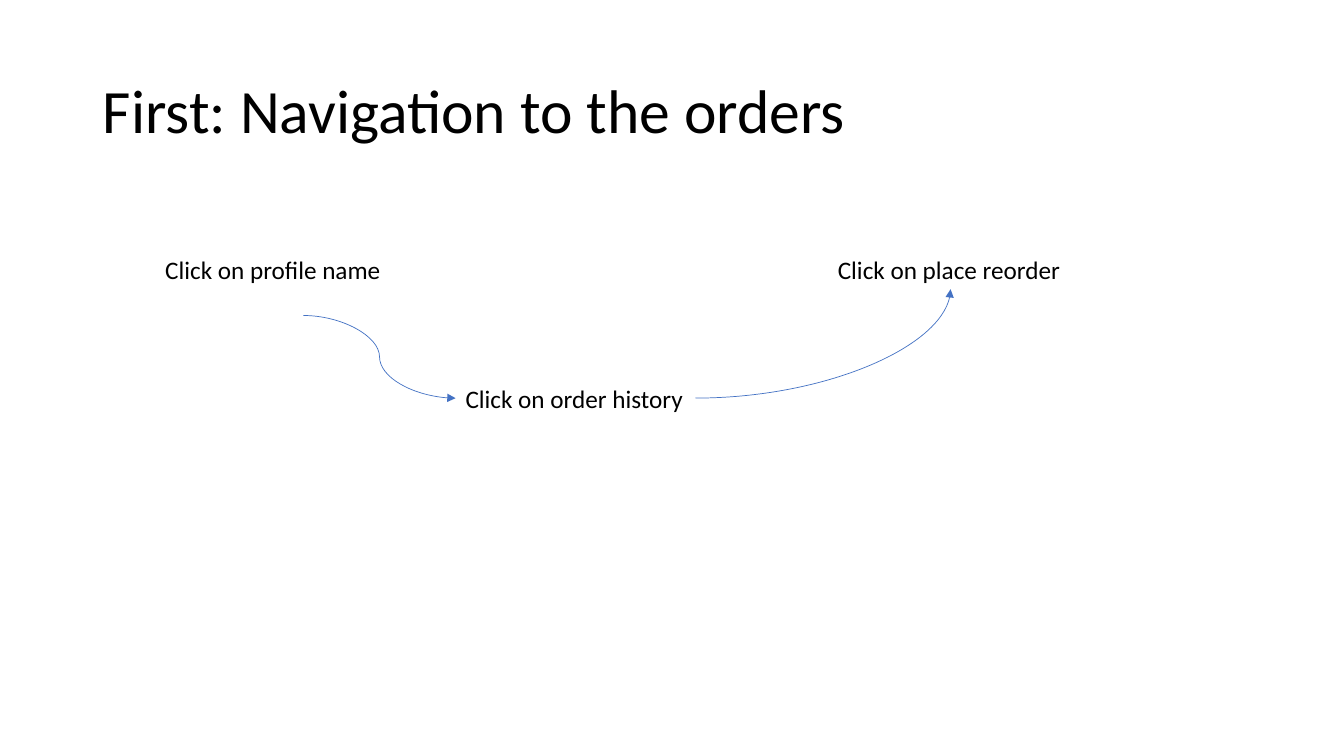
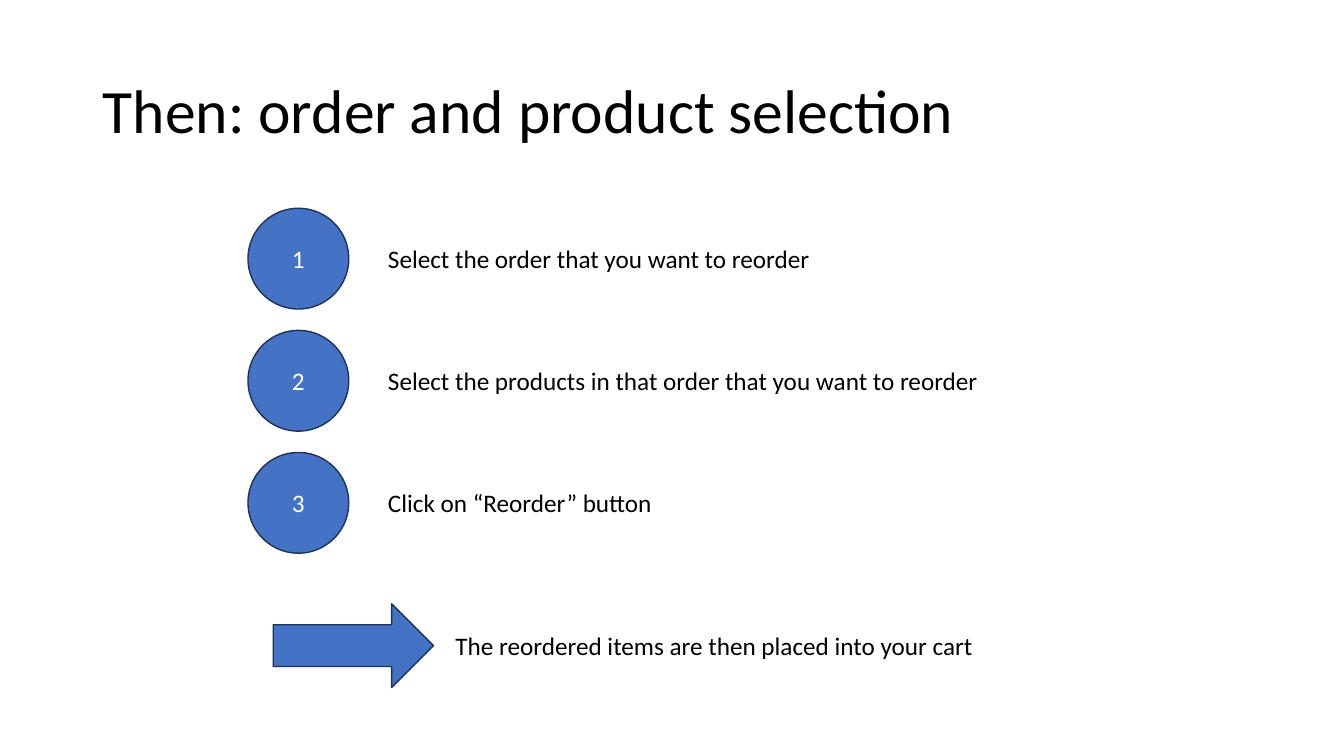
import lxml.etree
import pptx
import pptx.util
import pptx.dml.color
import pptx.enum.shapes
import pptx.enum.text
import pptx.oxml.ns

RGB = pptx.dml.color.RGBColor
BLUE = RGB(0x44, 0x72, 0xC4)
NAVY = RGB(0x1E, 0x32, 0x56)
BLACK = RGB(0, 0, 0)
WHITE = RGB(255, 255, 255)
FONT = "Calibri"
WIDE = pptx.util.Inches(13.33)
HIGH = pptx.util.Inches(7.5)
LINE = 5.33
KIND = pptx.enum.shapes.MSO_SHAPE
LINK = pptx.enum.shapes.MSO_CONNECTOR
ALIGN = pptx.enum.text.PP_ALIGN
ANCHOR = pptx.enum.text.MSO_ANCHOR
FIT = pptx.enum.text.MSO_AUTO_SIZE
qn = pptx.oxml.ns.qn


def write(frame, text, size=18, color=BLACK, align=ALIGN.LEFT,
          anchor=ANCHOR.TOP, wrap=True, fit=FIT.NONE, lead=1.0):
    """Put formatted text into a text frame."""
    frame.word_wrap = wrap
    frame.auto_size = fit
    frame.vertical_anchor = anchor
    par = frame.paragraphs[0]
    par.alignment = align
    par.line_spacing = lead
    run = par.add_run()
    run.text = text
    run.font.name = FONT
    run.font.size = pptx.util.Pt(size)
    run.font.color.rgb = color


def place(*spots):
    """Turn x, y pairs in percent of the slide into lengths."""
    return [int(spot * (HIGH if i % 2 else WIDE) / 100)
            for i, spot in enumerate(spots)]


class Deck:
    """Hold the style and the current slide."""

    def __init__(self):
        """Start an empty wide deck."""
        self.file = pptx.Presentation()
        self.file.slide_width = WIDE
        self.file.slide_height = HIGH

    def page(self, title):
        """Add a slide with its title."""
        layout = self.file.slide_layouts.get_by_name("Title Only")
        self.slide = self.file.slides.add_slide(layout)
        head = self.slide.shapes.title
        head.left, head.top, head.width, head.height = place(
            6.9, 5.33, 86.25, 19.33)
        write(head.text_frame, title, size=44, anchor=ANCHOR.MIDDLE, lead=0.9)

    def label(self, text, x, y, w):
        """Add one line of text."""
        box = self.slide.shapes.add_textbox(*place(x, y, w, LINE))
        write(box.text_frame, text, wrap=False, fit=FIT.SHAPE_TO_FIT_TEXT)

    def shape(self, kind, x, y, w, h, text=""):
        """Add a blue shape, with text if given."""
        item = self.slide.shapes.add_shape(kind, *place(x, y, w, h))
        item.shadow.inherit = False
        item.fill.solid()
        item.fill.fore_color.rgb = BLUE
        item.line.color.rgb = NAVY
        item.line.width = pptx.util.Pt(1)
        if text:
            write(item.text_frame, text, color=WHITE, align=ALIGN.CENTER,
                  anchor=ANCHOR.MIDDLE)

    def curve(self, x, y, to_x, to_y, preset="curvedConnector3"):
        """Add a curved arrow."""
        link = self.slide.shapes.add_connector(
            LINK.CURVE, *place(x, y, to_x, to_y))
        link.line.color.rgb = BLUE
        link.line.width = pptx.util.Pt(0.5)
        props = link.element.spPr
        props.find(qn("a:prstGeom")).set("prst", preset)
        lxml.etree.SubElement(props.find(qn("a:ln")), qn("a:tailEnd"),
                              type="triangle")
        lxml.etree.SubElement(props, qn("a:effectLst"))


deck = Deck()

deck.page("First: Navigation to the orders")
HIGHER, LOWER = 32.93, 50
deck.label("Click on profile name", 11.55, HIGHER, 17.7)
deck.label("Click on order history", 33.9, LOWER, 17.85)
deck.label("Click on place reorder", 61.6, HIGHER, 18.23)
middle = LOWER + LINE / 2
deck.curve(22.58, 41.73, 33.9, middle)
deck.curve(51.75, middle, 70.73, HIGHER + LINE, "curvedConnector2")

deck.page("Then: order and product selection")
STEPS = [("Select the order that you want to reorder", 33.23),
         ("Select the products in that order that you want to reorder", 45.9),
         ("Click on “Reorder” button", 21.38)]
DISC = 13.33
for row, (text, width) in enumerate(STEPS):
    top = 27.55 + row * 16.15
    deck.shape(KIND.OVAL, 18.45, top, 7.5, DISC, str(row + 1))
    deck.label(text, 28.13, top + (DISC - LINE) / 2, width)
deck.shape(KIND.RIGHT_ARROW, 20.33, 79.87, 11.93, 11.07)
deck.label("The reordered items are then placed into your cart",
           33.15, 82.67, 40.5)

deck.file.save("out.pptx")
